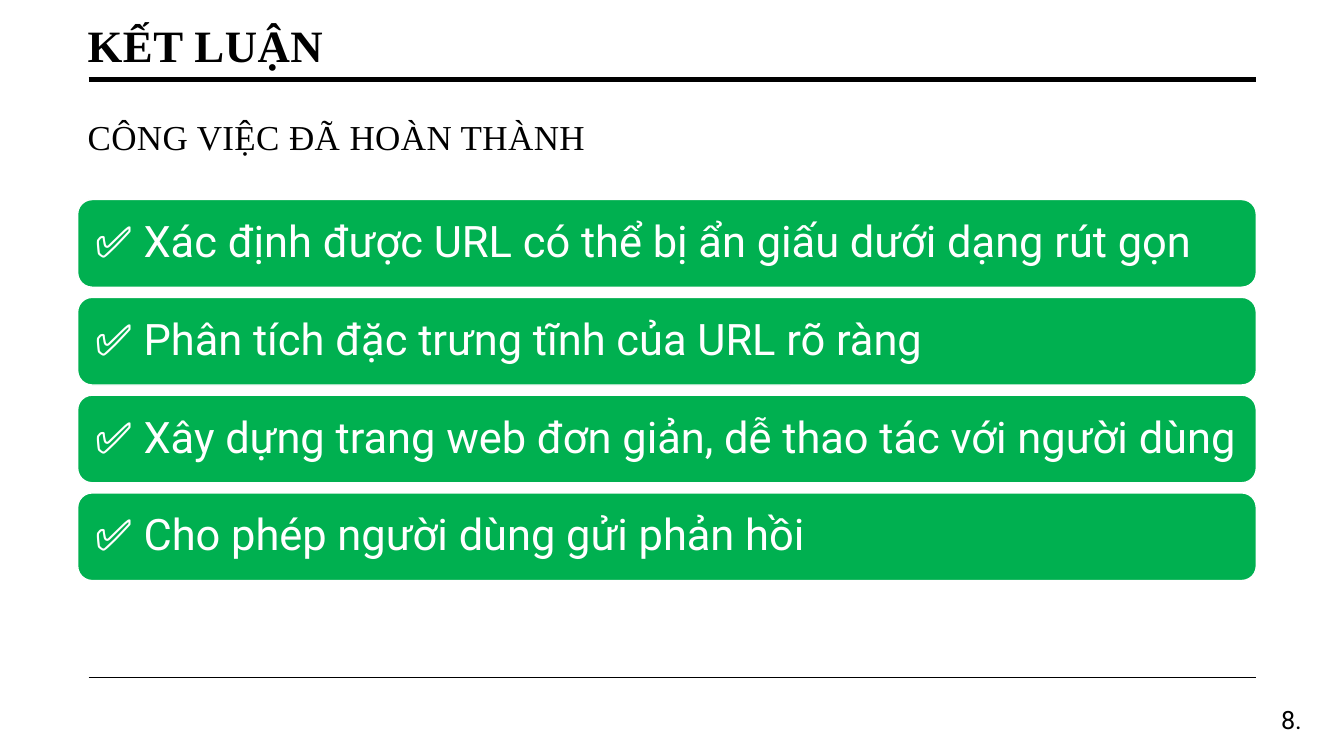
from lxml import etree
from pptx import Presentation
from pptx import util as u
from pptx.dml.color import RGBColor
from pptx.enum import shapes, text
from pptx.oxml.ns import qn

PX = 9144
BLACK, WHITE, GREEN = "000000", "FFFFFF", "00B050"
SERIF, SANS = "Times New Roman", "Roboto"


def px(length):
    return u.Emu(length * PX)


def color(hex_code):
    return RGBColor.from_string(hex_code)


class SlideBuilder:
    def __init__(self, deck):
        self.slide = deck.slides.add_slide(deck.slide_layouts[5])

    def set_words(self, frame, words, font, size, ink, bold=False, spacing=0,
                  align=text.PP_ALIGN.LEFT, anchor=text.MSO_ANCHOR.TOP, leading=1.0):
        frame.text = words
        frame.word_wrap = True
        frame.auto_size = text.MSO_AUTO_SIZE.NONE
        frame.vertical_anchor = anchor
        paragraph = frame.paragraphs[0]
        paragraph.alignment = align
        paragraph.line_spacing = leading
        run = paragraph.runs[0]
        run.font.name = font
        run.font.size = u.Pt(size)
        run.font.bold = bold
        run.font.color.rgb = color(ink)
        if spacing:
            run._r.get_or_add_rPr().set("spc", str(spacing))

    def title(self, words, left, top, width, height):
        heading = self.slide.shapes.title
        heading.left, heading.top = px(left), px(top)
        heading.width, heading.height = px(width), px(height)
        self.set_words(heading.text_frame, words, SERIF, 32, BLACK, bold=True,
                       spacing=30, anchor=text.MSO_ANCHOR.MIDDLE, leading=0.9)

    def label(self, words, left, top, width, height, font, size, inset_top=5, **style):
        box = self.slide.shapes.add_textbox(px(left), px(top), px(width), px(height))
        box.text_frame.margin_top = px(inset_top)
        self.set_words(box.text_frame, words, font, size, BLACK, **style)

    def rule(self, left, right, y, weight):
        line = self.slide.shapes.add_connector(
            shapes.MSO_CONNECTOR.STRAIGHT, px(left), px(y), px(right), px(y))
        line.line.color.rgb = color(BLACK)
        line.line.width = u.Pt(weight)
        etree.SubElement(line._element.spPr, qn("a:effectLst"))

    def bar(self, words, left, top, width, height):
        card = self.slide.shapes.add_shape(
            shapes.MSO_SHAPE.ROUNDED_RECTANGLE,
            px(left), px(top), px(width), px(height))
        card.shadow.inherit = False
        card.fill.solid()
        card.fill.fore_color.rgb = color(GREEN)
        card.line.color.rgb = color(WHITE)
        card.line.width = u.Pt(1)
        frame = card.text_frame
        frame.margin_left = frame.margin_right = px(13)
        frame.margin_top = frame.margin_bottom = px(13)
        self.set_words(frame, words, SANS, 31, WHITE,
                       anchor=text.MSO_ANCHOR.MIDDLE, leading=0.9)


def main():
    deck = Presentation()
    deck.slide_width, deck.slide_height = px(1333), px(750)
    conclusion = SlideBuilder(deck)
    left, width = 77, 1169

    for y, weight in ((79, 3.5), (672, 1)):
        conclusion.rule(88, 1246, y, weight)
    conclusion.title("KẾT LUẬN", left, 9, width, 77)
    conclusion.label("CÔNG VIỆC ĐÃ HOÀN THÀNH", left, 105, width, 77,
                     SERIF, 25, inset_top=10, spacing=30)

    achievements = (
        "Xác định được URL có thể bị ẩn giấu dưới dạng rút gọn",
        "Phân tích đặc trưng tĩnh của URL rõ ràng",
        "Xây dựng trang web đơn giản, dễ thao tác với người dùng",
        "Cho phép người dùng gửi phản hồi",
    )
    for row, achievement in enumerate(achievements):
        conclusion.bar(f"✅ {achievement}", left, 198 + row * 97, width, 87)

    conclusion.label("8.", 1206, 694, 95, 40, SANS, 18, align=text.PP_ALIGN.RIGHT)
    deck.save("out.pptx")


if __name__ == "__main__":
    main()
